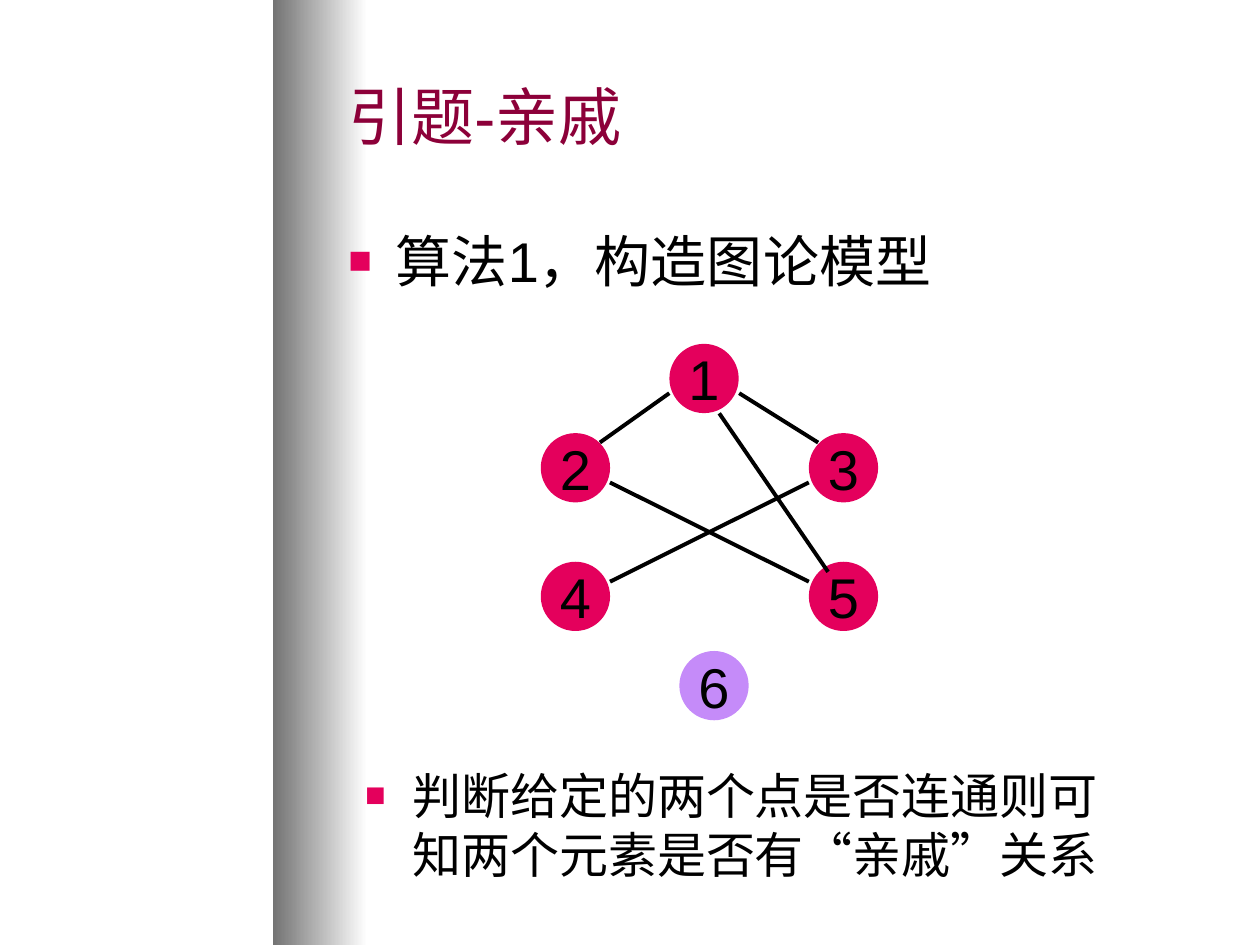
from dataclasses import dataclass

from pptx import Presentation
from pptx.dml.color import RGBColor as RGB
from pptx.enum.shapes import MSO_CONNECTOR as CONN, MSO_SHAPE as SHAPE
from pptx.enum.text import MSO_ANCHOR as ANCHOR, PP_ALIGN as ALIGN
from pptx.oxml.ns import qn
from pptx.util import Pt
from lxml.etree import SubElement


@dataclass(frozen=True)
class Theme:
    font: str = "Arial"
    title: str = "8C0039"
    accent: str = "E4005C"
    isolated: str = "C58BF9"
    ink: str = "000000"
    shade: str = "737373"
    paper: str = "FFFFFF"
    title_size: int = 36
    body_size: int = 32
    note_size: int = 28
    line: float = 2.25
    node: float = 39.6
    indent: int = 27


class Board:
    def __init__(self, slide, theme):
        self.s = slide
        self.t = theme

    def label(self, sp, text, size, color, before=0):
        tf = sp.text_frame
        tf.text = text
        p = tf.paragraphs[0]
        p.space_before = Pt(before)
        f = p.runs[0].font
        f.name, f.size = self.t.font, Pt(size)
        f.color.rgb = RGB.from_string(color)
        return p

    def shape(self, kind, x, y, w, h):
        sp = self.s.shapes.add_shape(kind, Pt(x), Pt(y), Pt(w), Pt(h))
        sp.shadow.inherit = False
        sp.line.fill.background()
        return sp

    def shaded_band(self, x, y, w, h):
        fill = self.shape(SHAPE.RECTANGLE, x, y, w, h).fill
        fill.gradient()
        fill.gradient_angle = 0
        for stop, color, pos in zip(fill.gradient_stops, (self.t.shade, self.t.paper), (0, 1)):
            stop.color.rgb = RGB.from_string(color)
            stop.position = pos

    def text(self, x, y, w, h, text, size, color, before=0, anchor=ANCHOR.TOP):
        sp = self.s.shapes.add_textbox(Pt(x), Pt(y), Pt(w), Pt(h))
        sp.text_frame.word_wrap = True
        sp.text_frame.vertical_anchor = anchor
        return self.label(sp, text, size, color, before)

    def bullet(self, x, y, w, h, text, size, before):
        p = self.text(x, y, w, h, text, size, self.t.ink, before)
        pPr = p._p.get_or_add_pPr()
        pPr.set("marL", str(Pt(self.t.indent)))
        pPr.set("indent", str(Pt(-self.t.indent)))
        SubElement(SubElement(pPr, qn("a:buClr")), qn("a:srgbClr"), val=self.t.accent)
        SubElement(pPr, qn("a:buSzPct"), val="70000")
        SubElement(pPr, qn("a:buFont"), typeface=self.t.font)
        SubElement(pPr, qn("a:buChar"), char="■")

    def node(self, text, x, y, color):
        sp = self.shape(SHAPE.OVAL, x, y, self.t.node, self.t.node)
        sp.fill.solid()
        sp.fill.fore_color.rgb = RGB.from_string(color)
        sp.text_frame.word_wrap = False
        sp.text_frame.vertical_anchor = ANCHOR.MIDDLE
        p = self.label(sp, text, self.t.body_size, self.t.ink, before=8)
        p.alignment = ALIGN.CENTER

    def edge(self, x1, y1, x2, y2):
        c = self.s.shapes.add_connector(CONN.STRAIGHT, Pt(x1), Pt(y1), Pt(x2), Pt(y2))
        c.line.width = Pt(self.t.line)
        c.line.color.rgb = RGB.from_string(self.t.ink)
        SubElement(c._element.spPr, qn("a:effectLst"))


def main():
    prs = Presentation()
    prs.slide_width, prs.slide_height = Pt(720), Pt(540)
    t = Theme()
    b = Board(prs.slides.add_slide(prs.slide_layouts[6]), t)

    b.shaded_band(156, 0, 54, 540)
    b.text(192, 18, 504, 96, "引题-亲戚", t.title_size, t.title, anchor=ANCHOR.MIDDLE)
    b.bullet(192, 126, 504, 53, "算法1，构造图论模型", t.body_size, before=8)

    left, right = 309, 462.2
    upper, lower = 247.5, 321
    nodes = {
        "1": (382.5, 196.5),
        "2": (left, upper),
        "3": (right, upper),
        "4": (left, lower),
        "5": (right, lower),
        "6": (388.2, 372),
    }
    for name, (x, y) in nodes.items():
        b.node(name, x, y, t.isolated if name == "6" else t.accent)

    inner = left + t.node
    for edge in (
        (382.5, 224.7, 342.8, 252.9),
        (473.2, 326.8, 411, 236.2),
        (467.5, 252.9, 422.4, 224.7),
        (inner, 332.4, right, 275.7),
        (right, 332.4, inner, 275.7),
    ):
        b.edge(*edge)

    b.bullet(201.6, 434, 459.4, 75, "判断给定的两个点是否连通则可知两个元素是否有“亲戚”关系",
             t.note_size, before=17.5)
    prs.save("out.pptx")


if __name__ == "__main__":
    main()
